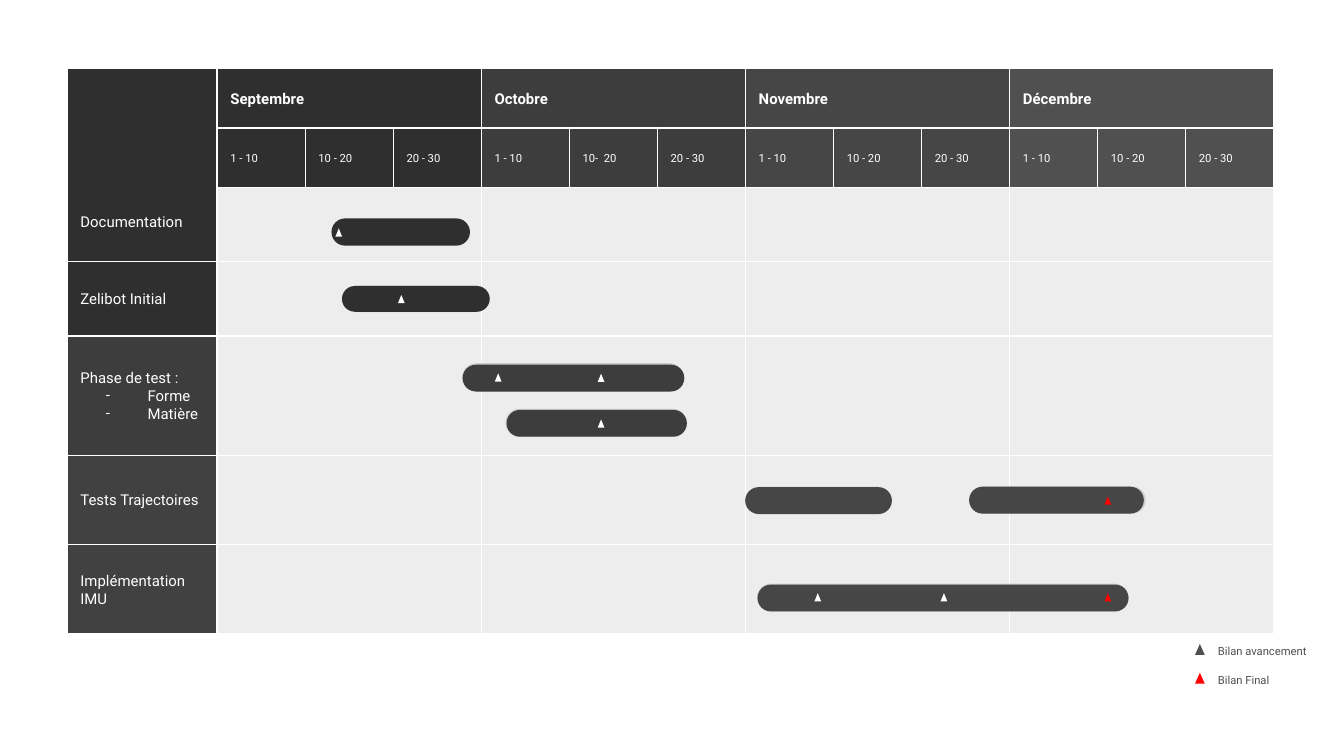
"""Builds a project schedule slide with months, tasks, bars and review marks."""
import pptx
import pptx.dml.color
import pptx.enum.shapes
import pptx.enum.text
import pptx.oxml
import pptx.oxml.ns
import pptx.util

Pt = pptx.util.Pt
Rgb = pptx.dml.color.RGBColor.from_string
Kind = pptx.enum.shapes.MSO_SHAPE
Anchor = pptx.enum.text.MSO_ANCHOR
Align = pptx.enum.text.PP_ALIGN

theme = {
    "font": "Roboto", "head": 8, "body": 8, "small": 6, "rule": 0.75,
    "white": "FFFFFF", "cell": "EDEDED", "shade": "CCCCCC", "red": "FF0000",
    "sep": "2F2F2F", "oct": "3D3D3D", "test": "414141", "nov": "464646", "dec": "505050",
}
inset = {
    "word_wrap": True, "vertical_anchor": Anchor.MIDDLE,
    "margin_left": Pt(7.2), "margin_right": Pt(7.2),
    "margin_top": Pt(7.2), "margin_bottom": Pt(7.2),
}

deck = pptx.Presentation()
deck.slide_width, deck.slide_height = Pt(720), Pt(405)
slide = deck.slides.add_slide(deck.slide_layouts[6])


def draw(kind, box, fill, ruled=False):
    shape = slide.shapes.add_shape(kind, *[Pt(round(n, 2)) for n in box])
    shape.shadow.inherit = False
    shape.fill.solid()
    shape.fill.fore_color.rgb = Rgb(theme[fill])
    if ruled:
        shape.line.color.rgb = Rgb(theme["white"])
        shape.line.width = Pt(theme["rule"])
    else:
        shape.line.fill.background()
    return shape


def write(shape, text, size, color="white", bold=False, **extra):
    frame = shape.text_frame
    for key, value in {**inset, **extra}.items():
        setattr(frame, key, value)
    frame.text = text
    form = {"name": theme["font"], "size": Pt(theme[size]), "bold": bold}
    for para in frame.paragraphs:
        para.alignment = Align.LEFT
        for run in para.runs:
            for key, value in form.items():
                setattr(run.font, key, value)
            run.font.color.rgb = Rgb(theme[color])


side, wide = 36, 80.4
left, span = side + wide, 141.5
top, head = 36.8, 31.8
start = top + 2 * head
third = span / 3

months = [("Septembre", "sep"), ("Octobre", "oct"), ("Novembre", "nov"), ("Décembre", "dec")]
tasks = [
    ("Documentation", "sep", 39.8),
    ("Zelibot Initial", "sep", 39.8),
    ("Phase de test :\nForme\nMatière", "oct", 64),
    ("Tests Trajectoires", "test", 47.8),
    ("Implémentation IMU", "test", 47.8),
]

for col, (month, fill) in enumerate(months):
    x = left + col * span
    write(draw(Kind.RECTANGLE, (x, top, span, head), fill, True), month, "head", bold=True)
    middle = "10-  20" if month == "Octobre" else "10 - 20"
    for part, days in enumerate(["1 - 10", middle, "20 - 30"]):
        box = (x + part * third, top + head, third, head)
        write(draw(Kind.RECTANGLE, box, fill, True), days, "small")

y = start
for row, (task, fill, high) in enumerate(tasks):
    for col in range(len(months)):
        draw(Kind.RECTANGLE, (left + col * span, y, span, high), "cell", True)
    if row == 0:
        label = draw(Kind.RECTANGLE, (side, top, wide, y + high - top), fill, True)
        write(label, task, "body", vertical_anchor=Anchor.BOTTOM, margin_bottom=Pt(16.6))
    else:
        label = draw(Kind.RECTANGLE, (side, y, wide, high), fill, True)
        write(label, task, "body")
    for para in label.text_frame.paragraphs[1:]:
        props = para._p.get_or_add_pPr()
        props.set("marL", str(Pt(36)))
        props.set("indent", str(Pt(-22.3)))
        names = pptx.oxml.ns.nsdecls("a")
        for mark in (f'<a:buClr {names}><a:srgbClr val="{theme["white"]}"/></a:buClr>',
                     f'<a:buFont {names} typeface="{theme["font"]}"/>',
                     f'<a:buChar {names} char="-"/>'):
            props.append(pptx.oxml.parse_xml(mark))
    y += high

bars = [
    ((177.6, 117, 74.2, 14.6), (180, 117.4, 59.8, 13.7), "sep"),
    ((183.2, 153.2, 79.2, 13.8), (184.7, 153, 77, 14.2), "sep"),
    ((247.8, 195.4, 118.8, 14.4), (247.6, 194.6, 118.8, 15), "oct"),
    ((271.4, 219.6, 96.6, 14.4), (270.8, 219, 97.2, 15), "oct"),
    ((399.2, 261, 78.6, 14.4), (399.6, 260.8, 77.8, 14.4), "nov"),
    ((519.2, 260.8, 93.6, 14.4), (519.2, 260.6, 94.6, 14.6), "nov"),
    ((405.8, 313.2, 198.8, 14.4), (405.6, 312.7, 198.8, 15), "nov"),
]
for bar, back, fill in bars:
    for box, tone in ((back, "shade"), (bar, fill)):
        pill = draw(Kind.ROUND_2_SAME_RECTANGLE, box, tone)
        pill.adjustments[0] = pill.adjustments[1] = 0.5

marks = [
    (179.7, 122.4, "white"), (213.2, 158, "white"), (265.1, 200, "white"),
    (320.2, 200.2, "white"), (320.2, 224.7, "white"), (436.3, 317.8, "white"),
    (503.9, 317.8, "white"), (591.7, 317.8, "red"), (591.7, 266, "red"),
]
for x, y, fill in marks:
    draw(Kind.ISOSCELES_TRIANGLE, (x, y, 3.6, 4.4), fill)

for y, text, fill in ((345, "Bilan avancement", "dec"), (360.4, "Bilan Final", "red")):
    draw(Kind.ISOSCELES_TRIANGLE, (640.2, y, 5.2, 5.8), fill)
    note = slide.shapes.add_textbox(Pt(645.4), Pt(y - 1), Pt(69), Pt(10))
    write(note, text, "small", "dec")

deck.save("out.pptx")
